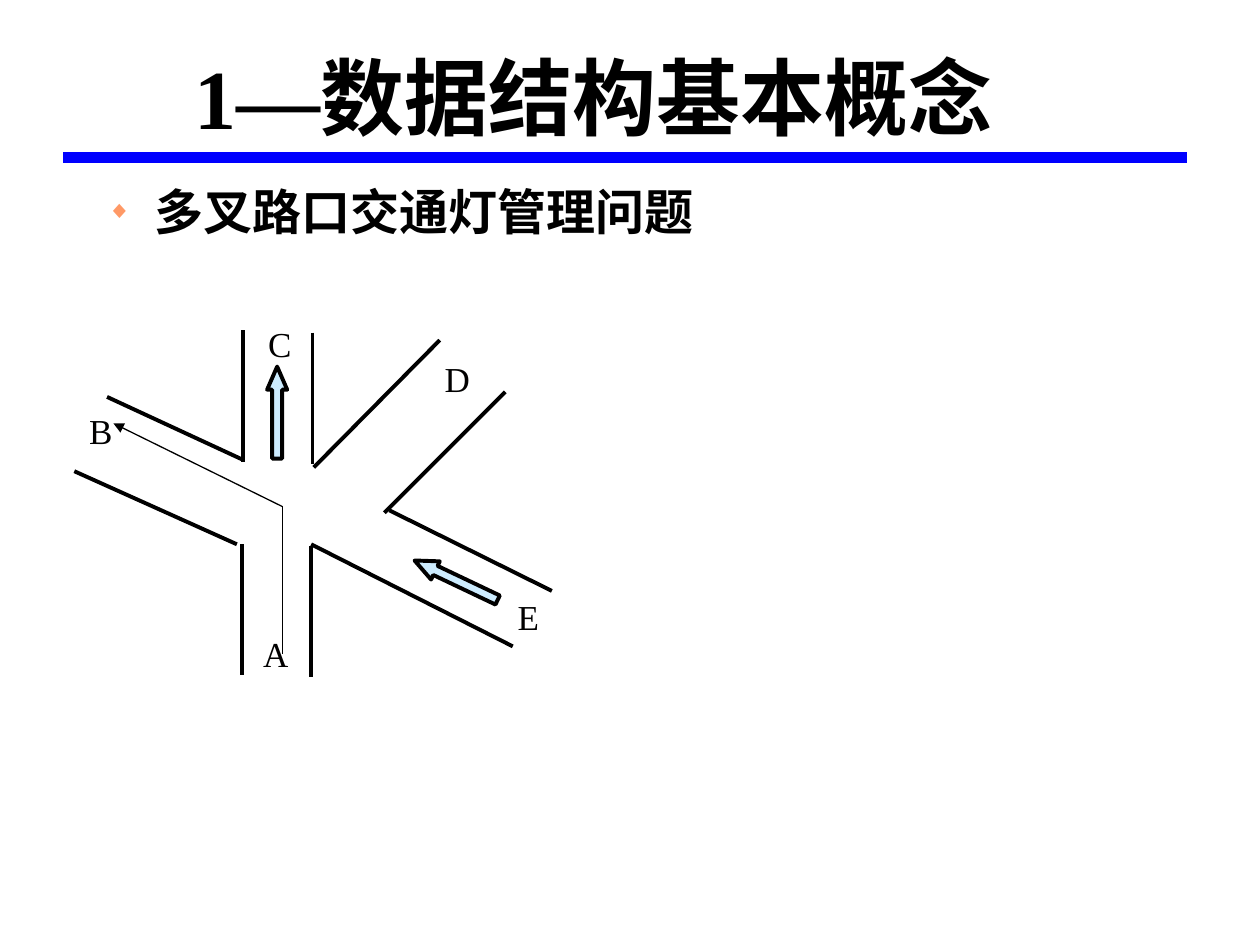
from dataclasses import dataclass

from lxml import etree
from pptx import Presentation
from pptx.dml.color import RGBColor
from pptx.enum.shapes import MSO_CONNECTOR, MSO_SHAPE
from pptx.enum.text import MSO_ANCHOR, MSO_AUTO_SIZE, PP_ALIGN
from pptx.oxml.ns import qn
from pptx.util import Inches, Pt

STRAIGHT = MSO_CONNECTOR.STRAIGHT
UP_ARROW = MSO_SHAPE.UP_ARROW
CENTER = PP_ALIGN.CENTER
LEFT = PP_ALIGN.LEFT
MIDDLE = MSO_ANCHOR.MIDDLE
TOP = MSO_ANCHOR.TOP
FIXED_SIZE = MSO_AUTO_SIZE.NONE


@dataclass(frozen=True)
class Theme:
    ink: str = "000000"
    label: str = "010000"
    rule: str = "0000FF"
    bullet: str = "FF9966"
    arrow: str = "CCECFF"
    serif: str = "Times New Roman"
    narrow: str = "Arial Narrow"
    title_size: float = 48
    title_end_size: float = 54
    body_size: float = 28
    label_size: float = 20
    rule_width: float = 6
    road_width: float = 2.25
    route_width: float = 0.75


@dataclass(frozen=True)
class Box:
    left: float
    top: float
    width: float
    height: float

    def point(self, across, down):
        return Inches(self.left + across), Inches(self.top + down)

    def frame(self):
        return *self.point(0, 0), Inches(self.width), Inches(self.height)


THEME = Theme()

ROADS = [
    ((1.43, 0.12), (1.43, 1.17)),
    ((1.98, 0.14), (1.98, 1.18)),
    ((1.42, 1.82), (1.42, 2.86)),
    ((1.97, 1.83), (1.97, 2.87)),
    ((1.43, 1.15), (0.35, 0.65)),
    ((1.38, 1.82), (0.09, 1.24)),
    ((2.55, 1.57), (3.51, 0.61)),
    ((2.59, 1.55), (3.88, 2.19)),
    ((1.97, 1.82), (3.57, 2.63)),
    ((1.99, 1.21), (2.99, 0.2)),
]
ONE_WAY_ARROWS = [(1.62, 0.41, 0), (3.04, 1.74, 295.4)]
LABELS = [
    ("C", 1.53, 0.01, 0.33),
    ("E", 3.51, 2.18, 0.37),
    ("D", 2.93, 0.29, 0.4),
    ("A", 1.49, 2.47, 0.4),
    ("B", 0.11, 0.7, 0.38),
]
ROUTE = [(1.74, 2.69), (1.74, 1.52), (0.4, 0.86)]


def style_span(span, size, color, font=THEME.serif, bold=False):
    span.font.size = Pt(size)
    span.font.name = font
    span.font.bold = bold
    span.font.color.rgb = RGBColor.from_string(color)


def add_line(shapes, start, end, color, width):
    line = shapes.add_connector(STRAIGHT, *start, *end)
    line.line.color.rgb = RGBColor.from_string(color)
    line.line.width = Pt(width)
    etree.SubElement(line._element.spPr, qn("a:effectLst"))
    return line


def add_arrowhead(line):
    outline = line.line._get_or_add_ln()
    etree.SubElement(outline, qn("a:tailEnd"), type="triangle")


def add_bullet(paragraph):
    properties = paragraph._p.get_or_add_pPr()
    properties.set("marL", str(Inches(0.38)))
    properties.set("indent", str(Inches(-0.38)))
    color = etree.SubElement(properties, qn("a:buClr"))
    etree.SubElement(color, qn("a:srgbClr"), val=THEME.bullet)
    etree.SubElement(properties, qn("a:buSzPct"), val="50000")
    etree.SubElement(properties, qn("a:buFont"), typeface=THEME.serif)
    etree.SubElement(properties, qn("a:buChar"), char="◆")


def place_text(placeholder, box, anchor):
    placeholder.left, placeholder.top, placeholder.width, placeholder.height = box.frame()
    text_frame = placeholder.text_frame
    text_frame.auto_size = FIXED_SIZE
    text_frame.vertical_anchor = anchor
    text_frame.word_wrap = True
    return text_frame.paragraphs[0]


def build_title(page, box):
    paragraph = place_text(page.shapes.title, box, MIDDLE)
    paragraph.alignment = CENTER
    paragraph.line_spacing = 0.7
    for text, font, size in [
        ("1—", THEME.serif, THEME.title_size),
        ("数据结构基本概念", THEME.narrow, THEME.title_size),
        (" ", THEME.narrow, THEME.title_end_size),
    ]:
        span = paragraph.add_run()
        span.text = text
        style_span(span, size, THEME.ink, font, bold=True)


def build_rule(page, box):
    add_line(page.shapes, box.point(0, 0), box.point(box.width, 0),
             THEME.rule, THEME.rule_width)


def build_topic(page, box):
    paragraph = place_text(page.placeholders[1], box, TOP)
    paragraph.text = "多叉路口交通灯管理问题"
    paragraph.alignment = LEFT
    paragraph.space_before = Pt(7)
    add_bullet(paragraph)
    style_span(paragraph.runs[0], THEME.body_size, THEME.ink, bold=True)


def build_crossroads(page, box):
    shapes = page.shapes.add_group_shape().shapes
    for start, end in ROADS:
        add_line(shapes, box.point(*start), box.point(*end),
                 THEME.ink, THEME.road_width)
    for across, down, rotation in ONE_WAY_ARROWS:
        arrow = shapes.add_shape(UP_ARROW, *box.point(across, down),
                                 Inches(0.16), Inches(0.73))
        arrow.adjustments[0] = 0.5
        arrow.adjustments[1] = 1.15
        arrow.rotation = rotation
        arrow.shadow.inherit = False
        arrow.fill.solid()
        arrow.fill.fore_color.rgb = RGBColor.from_string(THEME.arrow)
        arrow.line.color.rgb = RGBColor.from_string(THEME.ink)
        arrow.line.width = Pt(THEME.road_width)
    for text, across, down, width in LABELS:
        label = shapes.add_textbox(*box.point(across, down),
                                   Inches(width), Inches(0.44))
        label.text_frame.text = text
        label.text_frame.word_wrap = False
        style_span(label.text_frame.paragraphs[0].runs[0],
                   THEME.label_size, THEME.label)


def build_route(page, box):
    shapes = page.shapes.add_group_shape().shapes
    for start, end in zip(ROUTE, ROUTE[1:]):
        line = add_line(shapes, box.point(*start), box.point(*end),
                        THEME.ink, THEME.route_width)
    add_arrowhead(line)


def main():
    deck = Presentation()
    deck.slide_width, deck.slide_height = Inches(10), Inches(7.5)
    page = deck.slides.add_slide(deck.slide_layouts[1])
    crossroads = Box(0.5, 2.5, 4, 3)
    build_rule(page, Box(0.5, 1.25, 8.92, 0))
    build_topic(page, Box(0.75, 1.39, 8.33, 0.71))
    build_crossroads(page, crossroads)
    build_route(page, crossroads)
    build_title(page, Box(1.17, 0.42, 7.25, 0.83))
    deck.save("out.pptx")


if __name__ == "__main__":
    main()
